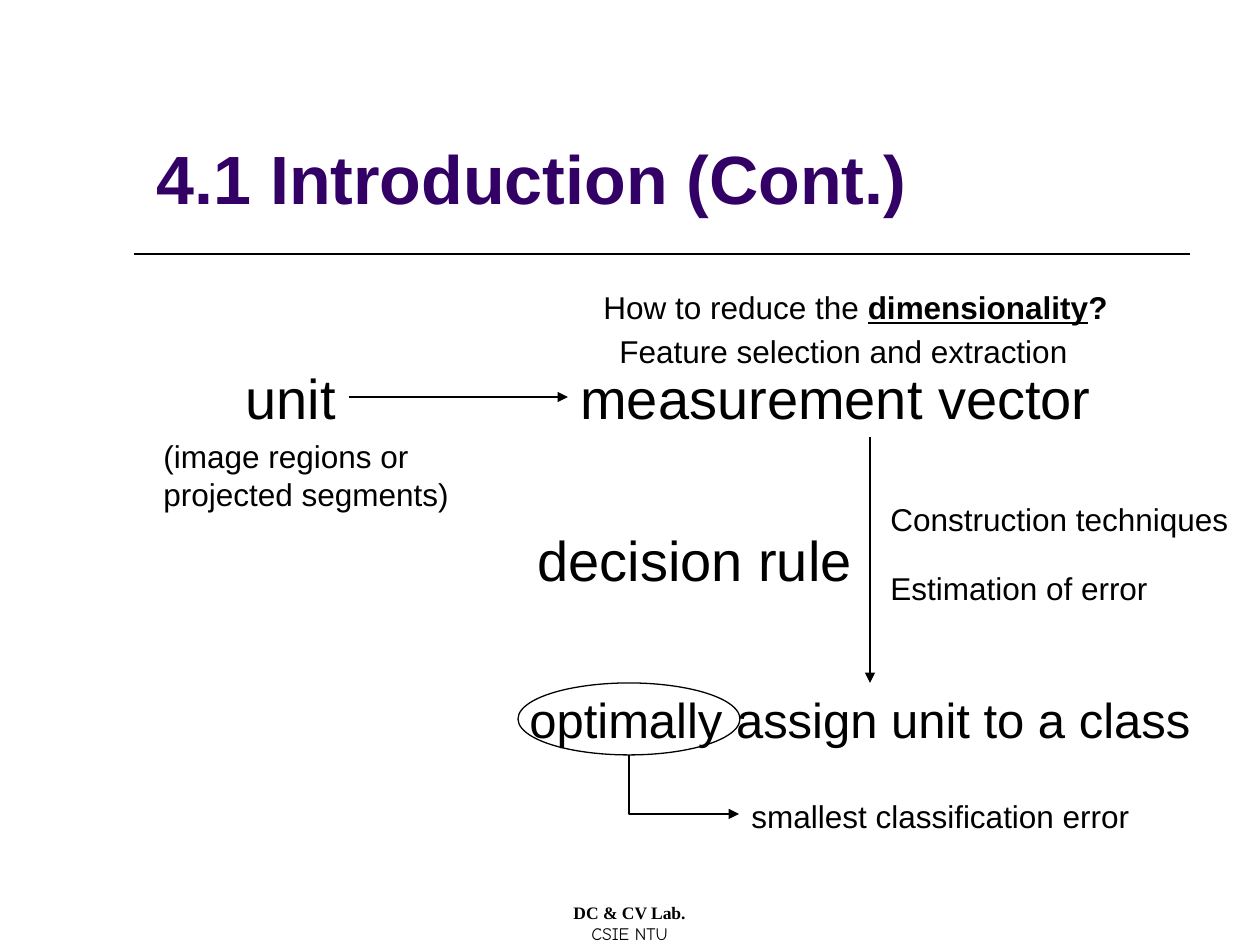
from dataclasses import dataclass
from pptx import Presentation
from pptx.dml.color import RGBColor
from pptx.enum.shapes import MSO_CONNECTOR, MSO_SHAPE
from pptx.enum.text import MSO_ANCHOR, MSO_AUTO_SIZE, PP_ALIGN
from pptx.oxml.ns import qn
from pptx.util import Pt
from lxml import etree

STRAIGHT, ELBOW = MSO_CONNECTOR.STRAIGHT, MSO_CONNECTOR.ELBOW
TOP, LEFT, BOTTOM, RIGHT = range(4)


@dataclass(frozen=True)
class Theme:
    ink: RGBColor = RGBColor(0, 0, 0)
    head: RGBColor = RGBColor(0x33, 0x00, 0x66)
    font: str = "Arial"
    title: int = 39
    large: int = 32
    mid: int = 28
    small: int = 18
    foot: int = 10
    line: float = 0.75


T = Theme()

# Content: name -> (paragraphs, type size, box in px)
TITLE = "4.1 Introduction (Cont.)"
FOOTER = [("DC & CV Lab.", "Times New Roman", True),
          ("CSIE NTU", "Comic Neue", False)]
LABELS = {
    "unit": (["unit"], T.large, (233, 357, 116, 80)),
    "vector": (["measurement vector"], T.large, (568, 357, 604, 80)),
    "assign": (["optimally assign unit to a class"], T.mid, (517, 683, 706, 72)),
    "rule": (["decision rule"], T.large, (525, 519, 352, 80)),
    "regions": (["(image regions or", "projected segments)"], T.small,
                (151, 431, 367, 89)),
    "error": (["smallest classification error"], T.small, (739, 791, 412, 50)),
    "how": (["How to reduce the "], T.small, (591, 282, 534, 50)),
    "feature": (["Feature selection and extraction"], T.small, (607, 326, 478, 50)),
    "build": (["Construction techniques"], T.small, (878, 494, 367, 50)),
    "estim": (["Estimation of error"], T.small, (878, 563, 285, 50)),
}
STRONG = [("dimensionality", True), ("?", False)]
LINKS = [("vector", BOTTOM, "assign", TOP), ("unit", RIGHT, "vector", LEFT)]
OVAL = (518, 683, 222, 72)
ELBOW_END = (739, 814)


def px(*vals):
    return [round(v * 914400 / 126) for v in vals]


prs = Presentation()
prs.slide_width, prs.slide_height = px(1260, 945)
slide = prs.slides.add_slide(prs.slide_layouts[6])
shapes = slide.shapes


def style(para, size, name=T.font, color=T.ink, bold=False):
    font = para.font
    font.size, font.name, font.bold = Pt(size), name, bold
    font.color.rgb = color


def box(area, lines):
    shape = shapes.add_textbox(*px(*area))
    frame = shape.text_frame
    frame.text = "\n".join(lines)
    return shape, frame


def wire(kind, ends, arrow=True):
    link = shapes.add_connector(kind, *px(*ends))
    link.line.color.rgb, link.line.width = T.ink, Pt(T.line)
    props = link._element.spPr
    if arrow:
        tip = etree.SubElement(props.find(qn("a:ln")), qn("a:tailEnd"))
        tip.set("type", "triangle")
    etree.SubElement(props, qn("a:effectLst"))
    return link


# Rule, footer and title
wire(STRAIGHT, (134, 254, 1190, 254), arrow=False)

_, frame = box((430, 896, 399, 63), [row[0] for row in FOOTER])
frame.word_wrap = True
for para, (_, name, bold) in zip(frame.paragraphs, FOOTER):
    style(para, T.foot, name, bold=bold)
    para.alignment = PP_ALIGN.CENTER

_, frame = box((144, 45, 1116, 179), [TITLE])
frame.word_wrap, frame.vertical_anchor = True, MSO_ANCHOR.BOTTOM
style(frame.paragraphs[0], T.title, color=T.head, bold=True)

# Labels
boxes = {}
for key, (lines, size, area) in LABELS.items():
    boxes[key], frame = box(area, lines)
    frame.word_wrap, frame.auto_size = False, MSO_AUTO_SIZE.SHAPE_TO_FIT_TEXT
    for para in frame.paragraphs:
        style(para, size)

para = boxes["how"].text_frame.paragraphs[0]
for text, under in STRONG:
    run = para.add_run()
    run.text = text
    run.font.bold, run.font.underline = True, under

# Oval around the key word
oval = shapes.add_shape(MSO_SHAPE.OVAL, *px(*OVAL))
oval.shadow.inherit = False
oval.fill.background()
oval.line.color.rgb, oval.line.width = T.ink, Pt(T.line)

# Arrows
for start, out, end, into in LINKS:
    link = wire(STRAIGHT, (0, 0, 0, 0))
    link.begin_connect(boxes[start], out)
    link.end_connect(boxes[end], into)

left, top, width, height = OVAL
elbow = wire(ELBOW, (left + width // 2, top + height, *ELBOW_END))
guides = elbow._element.spPr.find(qn("a:prstGeom")).get_or_add_avLst()
etree.SubElement(guides, qn("a:gd"), name="adj1", fmla="val 0")

prs.save("out.pptx")
